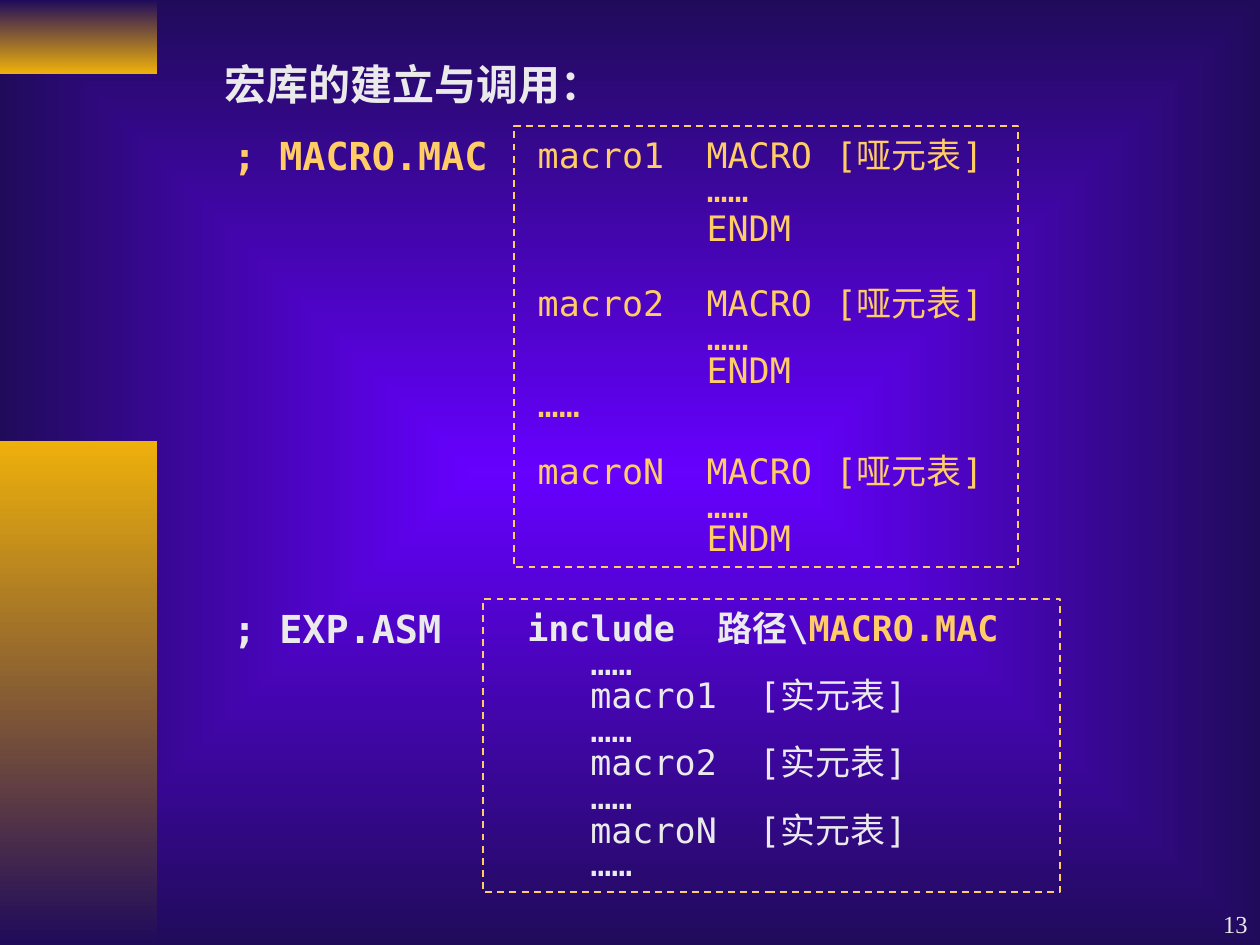
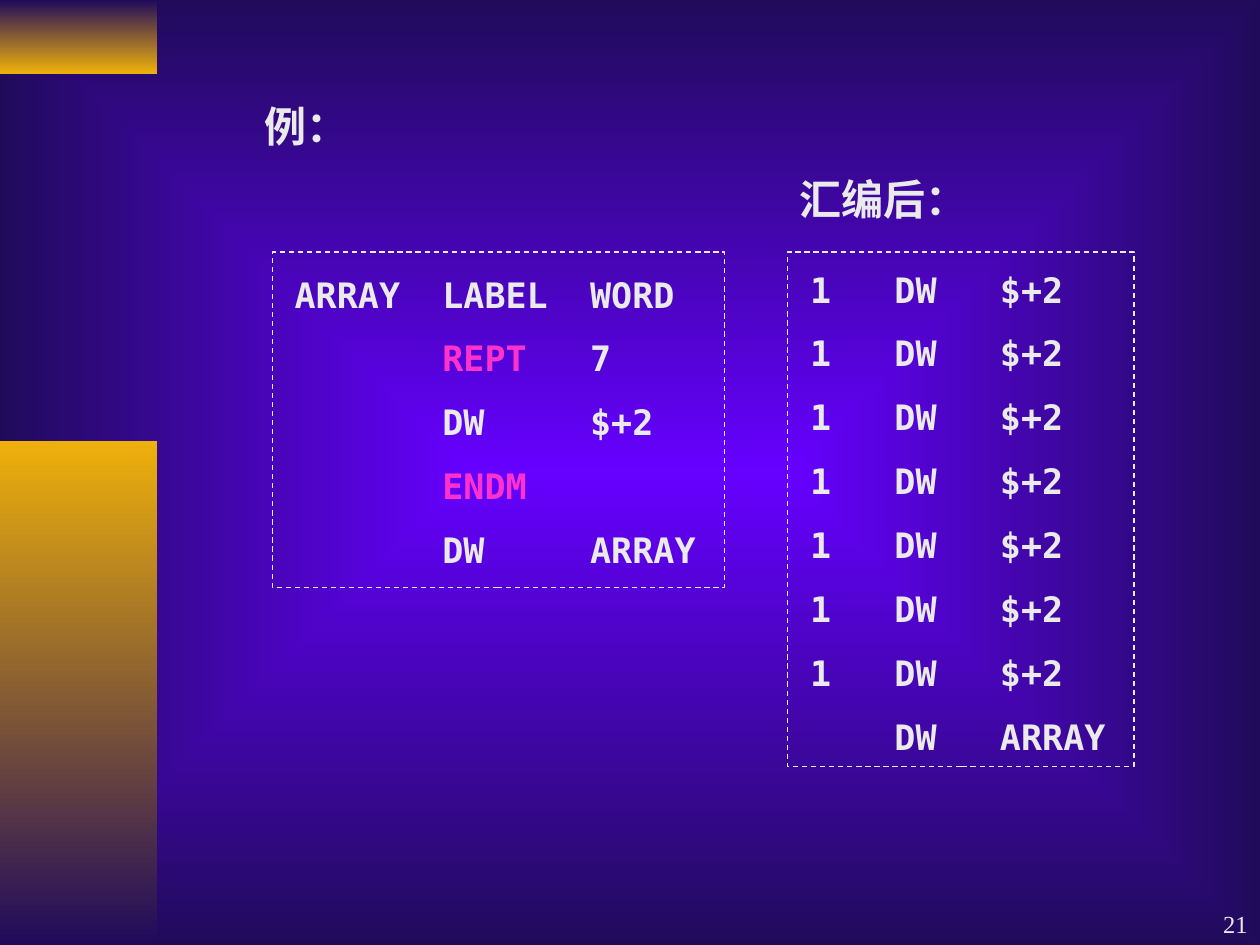
from lxml import etree
from pptx import Presentation
from pptx.dml.color import RGBColor
from pptx.enum.dml import MSO_LINE_DASH_STYLE as Dash
from pptx.enum.shapes import MSO_SHAPE as Shape
from pptx.enum.text import MSO_ANCHOR as Anchor, PP_ALIGN as Align
from pptx.oxml.ns import qn
from pptx.util import Cm, Pt

NAVY, VIOLET, GOLD = "200B5B", "6600FF", "EEB00B"
WHITE, YELLOW, PINK = "EAEAEA", "FFCC66", "FF33CC"
CODE, HEADING, NUMBER = "DejaVu Sans Mono", "Courier New", "Times New Roman"
CHINESE = "Noto Sans CJK SC"


def rgb(hex_colour):
    return RGBColor.from_string(hex_colour)


def write(slide, lines, left, top, width, height, size=20, font=CODE,
          colour=WHITE, bold=False, align=Align.LEFT, anchor=Anchor.TOP,
          spacing=1.2, gap=0, gaps=None, indent=0):
    """Write lines; a line is a string or a list of (text, colour[, font]) parts."""
    box = slide.shapes.add_textbox(Cm(left), Cm(top), Cm(width), Cm(height))
    frame = box.text_frame
    frame.word_wrap = True
    frame.vertical_anchor = anchor
    for index, line in enumerate(lines):
        paragraph = frame.add_paragraph() if index else frame.paragraphs[0]
        paragraph.alignment = align
        paragraph.line_spacing = Pt(size * spacing)
        if index:
            paragraph.space_before = Pt((gaps or {}).get(index, gap))
        if indent:
            paragraph._p.get_or_add_pPr().set("marL", str(Cm(indent)))
        parts = [(line, colour)] if isinstance(line, str) else line
        for text, part_colour, *part_font in parts:
            run = paragraph.add_run()
            run.text = text
            run.font.size = Pt(size)
            run.font.bold = bold
            run.font.name = part_font[0] if part_font else font
            run.font.color.rgb = rgb(part_colour)
            has_chinese = any(letter >= "一" for letter in text)
            east_asian = etree.SubElement(run._r.get_or_add_rPr(), qn("a:ea"))
            east_asian.set("typeface", CHINESE if has_chinese else run.font.name)


presentation = Presentation()
presentation.slide_width, presentation.slide_height = Cm(25.4), Cm(19.05)

# Shared background: gradient from the centre to the edges
master = presentation.slide_master
background = master.background.fill
background.gradient()
for stop, colour in zip(background.gradient_stops, (VIOLET, NAVY)):
    stop.color.rgb = rgb(colour)
gradient = master.element.find(".//" + qn("p:bgPr")).find(qn("a:gradFill"))
gradient.remove(gradient.find(qn("a:lin")))
centre = etree.SubElement(gradient, qn("a:path"), path="rect")
etree.SubElement(centre, qn("a:fillToRect"), l="50000", t="50000", r="50000", b="50000")

# Side bands, dashed frames and page number of each slide
bands = [(0, 1.48, NAVY, GOLD), (8.89, 10.16, GOLD, NAVY)]
pages = [
    ("13", YELLOW, 1, [(10.37, 2.54, 10.16, 8.89), (9.74, 12.07, 11.63, 5.92)]),
    ("21", WHITE, 0.75, [(5.5, 5.08, 9.1, 6.77), (15.88, 5.08, 6.98, 10.37)]),
]
for number, frame_colour, frame_weight, frames in pages:
    slide = presentation.slides.add_slide(presentation.slide_layouts[6])
    for top, height, first, last in bands:
        band = slide.shapes.add_shape(Shape.RECTANGLE, 0, Cm(top), Cm(3.17), Cm(height))
        band.shadow.inherit = False
        band.line.fill.background()
        band.fill.gradient()
        band.fill.gradient_angle = 270
        for stop, colour in zip(band.fill.gradient_stops, (first, last)):
            stop.color.rgb = rgb(colour)
    for place in frames:
        border = slide.shapes.add_shape(Shape.RECTANGLE, *map(Cm, place))
        border.shadow.inherit = False
        border.fill.background()
        border.line.color.rgb = rgb(frame_colour)
        border.line.width = Pt(frame_weight)
        border.line.dash_style = Dash.DASH
    write(slide, [number], 20.12, 17.78, 5.28, 1.27, size=14, font=NUMBER,
          align=Align.RIGHT, anchor=Anchor.BOTTOM)

library_slide, example_slide = presentation.slides

# Macro library: definitions
write(library_slide, ["宏库的建立与调用："], 4.27, 1.05, 10, 1.27, size=24, font=NUMBER, bold=True)
write(library_slide, ["; MACRO.MAC"], 4.45, 2.54, 6.5, 1.19, size=22, colour=YELLOW, bold=True)
definitions = []
for name in ("macro1", "macro2", "macroN"):
    if name == "macroN":
        definitions.append("……")
    definitions += [
        [(f"{name}  MACRO", YELLOW), ("   ", YELLOW, CHINESE), ("[哑元表]", YELLOW)],
        "        ……",
        "        ENDM",
    ]
write(library_slide, definitions, 10.59, 2.74, 10.5, 8.66, colour=YELLOW,
      spacing=0.96, gaps={2: 3.5, 3: 23.5, 7: 19.2})

# Macro library: calls
write(library_slide, ["; EXP.ASM"], 4.45, 12.07, 5.5, 1.19, size=22, bold=True)
write(library_slide, [[("include  路径\\", WHITE), ("MACRO.MAC", YELLOW)]],
      10.38, 12.27, 11, 0.93, bold=True, spacing=0.96)
calls = ["……"]
for name in ("macro1", "macro2", "macroN"):
    calls += [f"{name}  [实元表]", "……"]
write(library_slide, calls, 10.38, 12.95, 11, 5, spacing=0.96, indent=1.27)

# Repeat block: source and result
write(example_slide, ["例："], 5.08, 1.91, 4, 1.27, size=24, font=HEADING, bold=True)
write(example_slide, ["汇编后："], 15.86, 3.38, 6, 1.27, size=24, font=HEADING, bold=True)
source = [
    "ARRAY  LABEL  WORD",
    [("       REPT", PINK), ("   7", WHITE)],
    "       DW     $+2",
    [("       ENDM", PINK)],
    "       DW     ARRAY",
]
write(example_slide, source, 5.69, 5.38, 9.2, 6.25, bold=True, gap=12.5)
result = ["1   DW   $+2"] * 7 + ["    DW   ARRAY"]
write(example_slide, result, 16.08, 5.28, 7.2, 10.13, bold=True, gap=12.5)

presentation.save("out.pptx")
